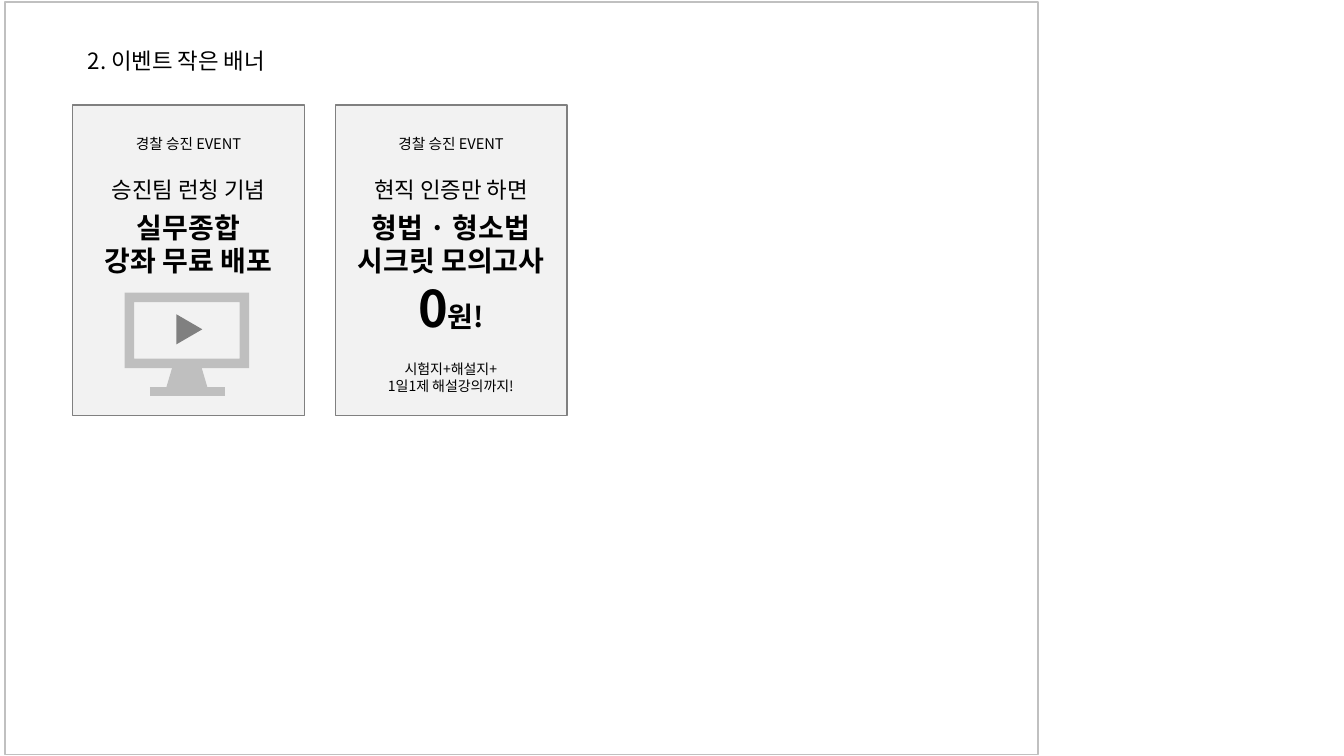
import pptx
import pptx.util
import pptx.dml.color
import pptx.enum.shapes
import pptx.enum.text
import lxml.etree

Pt = pptx.util.Pt
RGB = pptx.dml.color.RGBColor
KIND = pptx.enum.shapes.MSO_SHAPE

BLACK = RGB(0, 0, 0)
PALE = RGB(0xF2, 0xF2, 0xF2)
SILVER = RGB(0xC0, 0xC0, 0xC0)
LIGHT = RGB(0xBF, 0xBF, 0xBF)
GRAY = RGB(0x80, 0x80, 0x80)
FONT = "Noto Sans CJK KR"
SMALL, MID, BIG = 10, 16, 20


def add_shape(slide, kind, box, fill=None, line=None, turn=0):
    shape = slide.shapes.add_shape(kind, *map(Pt, box))
    shape.shadow.inherit = False
    shape.rotation = turn
    if fill is None:
        shape.fill.background()
    else:
        shape.fill.solid()
        shape.fill.fore_color.rgb = fill
    if line is None:
        shape.line.fill.background()
    else:
        shape.line.color.rgb = line
        shape.line.width = Pt(1)


def add_line(slide, left, right, y, color, width):
    line = slide.shapes.add_connector(
        pptx.enum.shapes.MSO_CONNECTOR.STRAIGHT, Pt(left), Pt(y), Pt(right), Pt(y))
    line.line.color.rgb = color
    line.line.width = Pt(width)
    props = line._element.spPr
    lxml.etree.SubElement(props, pptx.oxml.ns.qn("a:effectLst"))


def add_run(para, text, size, bold=False):
    run = para.add_run()
    run.text = text
    run.font.size = Pt(size)
    run.font.bold = bold
    run.font.name = FONT
    run.font.color.rgb = BLACK
    # Korean letters take the East Asian typeface
    east = lxml.etree.SubElement(run.font._element, pptx.oxml.ns.qn("a:ea"))
    east.set("typeface", FONT)


def add_text(slide, box, paras):
    """Each paragraph is (space before, [(text, size, bold), ...])."""
    frame = slide.shapes.add_textbox(*map(Pt, box)).text_frame
    frame.word_wrap = True
    for i, (gap, runs) in enumerate(paras):
        para = frame.paragraphs[0] if i == 0 else frame.add_paragraph()
        para.alignment = pptx.enum.text.PP_ALIGN.CENTER
        if gap:
            para.space_before = Pt(gap)
        for run in runs:
            add_run(para, *run)


def add_card(slide, left, lead, lines, extra=()):
    add_shape(slide, KIND.RECTANGLE, (left, 75, 165.5, 222), PALE, GRAY)
    add_text(slide, (left + 18, 93, 129.5, 21),
             [(0, [("경찰 승진 EVENT", 10.5)])])
    paras = [(0, [(lead, MID)])]
    for i, line in enumerate(lines):
        paras.append((0 if i else 5, [(line, BIG, True)]))
    paras.extend(extra)
    add_text(slide, (left - 3.25, 122.5, 172, 80 + 44 * len(extra)), paras)


def add_screen(slide):
    add_shape(slide, KIND.FRAME, (89, 209, 89, 54), LIGHT)
    add_shape(slide, KIND.FLOWCHART_MANUAL_OPERATION,
              (118, 258.5, 31, 21), LIGHT, turn=180)
    add_line(slide, 107, 160.5, 279.5, LIGHT, 6)
    add_shape(slide, KIND.ISOSCELES_TRIANGLE,
              (124.5, 226, 21.5, 18.5), GRAY, turn=90)


def main():
    deck = pptx.Presentation()
    deck.slide_width, deck.slide_height = Pt(960), Pt(540)
    slide = deck.slides.add_slide(deck.slide_layouts[6])

    # Page frame and heading
    add_shape(slide, KIND.RECTANGLE, (3.5, 1.5, 738, 537.5), line=SILVER)
    add_text(slide, (20, 30, 212, 27), [(0, [("2. 이벤트 작은 배너", MID)])])

    # Mock exam banner
    price = (0, [("0", 36, True), ("원!", BIG, True)])
    add_card(slide, 239.5, "현직 인증만 하면",
             ["형법 · 형소법", "시크릿 모의고사"], [price])
    add_text(slide, (244, 254, 156, 32),
             [(0, [("시험지+해설지+", SMALL)]),
              (0, [("1일1제 해설강의까지!", SMALL)])])

    # Free course banner
    add_card(slide, 52, "승진팀 런칭 기념", ["실무종합", "강좌 무료 배포"])
    add_screen(slide)

    deck.save("out.pptx")


if __name__ == "__main__":
    main()
